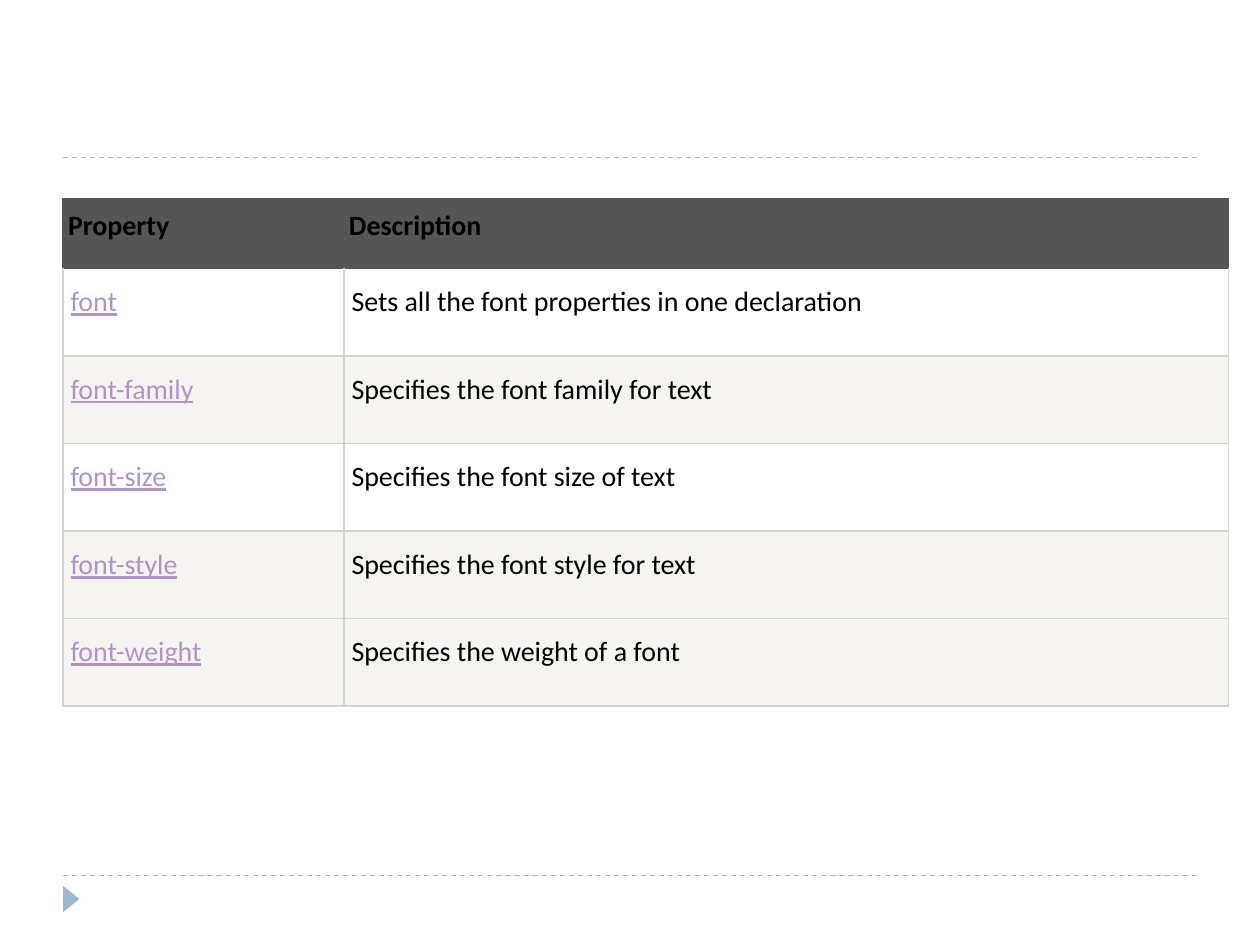
from lxml.etree import SubElement
from pptx import Presentation
from pptx.dml.color import RGBColor
from pptx.enum.dml import MSO_LINE
from pptx.enum.shapes import MSO_CONNECTOR, MSO_SHAPE
from pptx.oxml.ns import qn
from pptx.util import Inches, Pt

HEADINGS = ("Property", "Description")
PROPERTIES = [
    ("font", "Sets all the font properties in one declaration", "FFFFFF"),
    ("font-family", "Specifies the font family for text", "F6F4F0"),
    ("font-size", "Specifies the font size of text", "FFFFFF"),
    ("font-style", "Specifies the font style for text", "F6F4F0"),
    ("font-weight", "Specifies the weight of a font", "F6F4F0"),
]
COLUMN_WIDTHS = (2.23, 7.02)
HEADER_HEIGHT, ROW_HEIGHT = 0.55, 0.695
LEFT, TABLE_TOP, RULE_RIGHT = 0.5, 1.58, 9.5
RULE_HEIGHTS = (6.95, 1.25)
ACCENT, HEADER, GRID, LINK, INK = "9FB8CD", "555555", "D4D4D4", "B292CA", "000000"


def color(value):
    """Turn a hex string into a colour."""
    return RGBColor.from_string(value)


def add_rule(slide, height):
    """Draw a dashed rule across the slide."""
    rule = slide.shapes.add_connector(
        MSO_CONNECTOR.STRAIGHT, Inches(LEFT), Inches(height), Inches(RULE_RIGHT), Inches(height))
    rule.line.color.rgb = color(ACCENT)
    rule.line.width = Pt(0.75)
    rule.line.dash_style = MSO_LINE.DASH
    SubElement(rule.element.spPr, qn("a:effectLst"))


def add_marker(slide):
    """Place the small triangle that points right below the lower rule."""
    marker = slide.shapes.add_shape(
        MSO_SHAPE.ISOSCELES_TRIANGLE, Inches(0.46), Inches(7.07), Inches(0.21), Inches(0.13))
    marker.rotation = 90
    marker.shadow.inherit = False
    marker.fill.solid()
    marker.fill.fore_color.rgb = color(ACCENT)
    marker.line.fill.background()


def set_borders(cell, side, top):
    """Give a cell thin borders, with its own colour on the top edge."""
    properties = cell._tc.get_or_add_tcPr()
    for edge, value in (("L", side), ("R", side), ("T", top), ("B", side)):
        border = SubElement(properties, qn(f"a:ln{edge}"), w=str(Pt(1)))
        SubElement(SubElement(border, qn("a:solidFill")), qn("a:srgbClr"), val=value)


def fill_cell(cell, text, fill, ink, margins, borders, bold=False, underline=False):
    """Write and style one table cell."""
    set_borders(cell, *borders)
    cell.fill.solid()
    cell.fill.fore_color.rgb = color(fill)
    cell.margin_left = cell.margin_right = Inches(margins[0])
    cell.margin_top = cell.margin_bottom = Inches(margins[1])
    paragraph = cell.text_frame.paragraphs[0]
    paragraph.line_spacing = 1.15
    run = paragraph.add_run()
    run.text = text
    run.font.name = "Calibri"
    run.font.size = Pt(16)
    run.font.bold = bold
    run.font.underline = underline
    run.font.color.rgb = color(ink)


def add_property_table(slide):
    """Build the table of font properties."""
    row_count = len(PROPERTIES) + 1
    table = slide.shapes.add_table(
        row_count, len(HEADINGS), Inches(LEFT), Inches(TABLE_TOP), Inches(sum(COLUMN_WIDTHS)),
        Inches(HEADER_HEIGHT + ROW_HEIGHT * len(PROPERTIES))).table
    for column, width in zip(table.columns, COLUMN_WIDTHS):
        column.width = Inches(width)
    for index, row in enumerate(table.rows):
        row.height = Inches(ROW_HEIGHT if index else HEADER_HEIGHT)
    for column, heading in enumerate(HEADINGS):
        fill_cell(table.cell(0, column), heading, HEADER, INK, (0.04, 0.04),
                  (HEADER, HEADER), bold=True)
    for index, (name, description, fill) in enumerate(PROPERTIES, start=1):
        borders = (GRID, HEADER if index == 1 else GRID)
        fill_cell(table.cell(index, 0), name, fill, LINK, (0.06, 0.09), borders, underline=True)
        fill_cell(table.cell(index, 1), description, fill, INK, (0.06, 0.09), borders)


presentation = Presentation()
presentation.slide_width, presentation.slide_height = Inches(10), Inches(7.5)
slide = presentation.slides.add_slide(presentation.slide_layouts[6])
for height in RULE_HEIGHTS:
    add_rule(slide, height)
add_marker(slide)
add_property_table(slide)
presentation.save("out.pptx")
